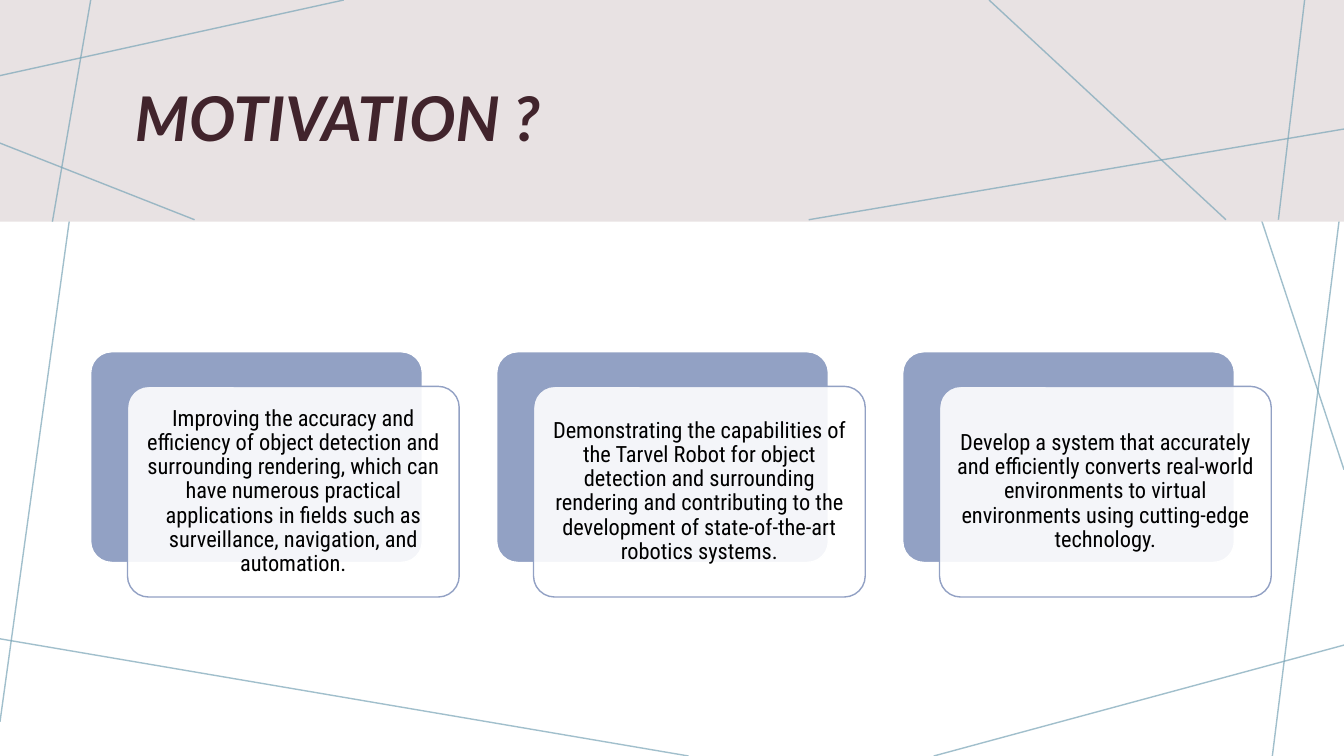
import pptx
import pptx.util
import pptx.dml.color
import pptx.enum.shapes
import pptx.enum.text
import pptx.oxml.ns
from lxml import etree

WIDTH = pptx.util.Inches(13.33)
HEIGHT = pptx.util.Inches(7.5)
SHAPE = pptx.enum.shapes.MSO_SHAPE
ALIGN = pptx.enum.text.PP_ALIGN

WHITE = pptx.dml.color.RGBColor(0xFF, 0xFF, 0xFF)
BLACK = pptx.dml.color.RGBColor(0x00, 0x00, 0x00)
BAND = pptx.dml.color.RGBColor(0xE8, 0xE2, 0xE3)
TITLE = pptx.dml.color.RGBColor(0x41, 0x24, 0x2C)
TEAL = pptx.dml.color.RGBColor(0x7A, 0xA5, 0xB7)
PERIWINKLE = pptx.dml.color.RGBColor(0x92, 0xA1, 0xC4)

BODY_LINES = [
    (7.43, 0, 0, 95.47),
    (51.24, 100, 0, 84.5),
    (100, 85.33, 69.47, 100),
    (100, 24, 94.67, 100),
    (100, 62.13, 88.45, 0),
]
BAND_LINES = [
    (25.58, 0, 0, 10),
    (6.75, 0, 3.9, 29.33),
    (14.48, 29.07, 0, 18.93),
    (100, 17.07, 60.17, 29.07),
    (91.22, 29.07, 73.59, 0),
    (97.07, 0, 95.12, 29.07),
]
REASONS = [
    "Improving the accuracy and efficiency of object detection and surrounding "
    "rendering, which can have numerous practical applications in fields such as "
    "surveillance, navigation, and automation.",
    "Demonstrating the capabilities of the Tarvel Robot for object detection and "
    "surrounding rendering and contributing to the development of state-of-the-art "
    "robotics systems.",
    "Develop a system that accurately and efficiently converts real-world "
    "environments to virtual environments using cutting-edge technology.",
]
CARD_LEFT, CARD_TOP, CARD_W, CARD_H = 6.75, 46.53, 24.68, 27.87
CARD_PITCH, SHIFT_X, SHIFT_Y = 30.21, 2.74, 4.57


def col(share):
    return round(WIDTH * share / 100)


def row(share):
    return round(HEIGHT * share / 100)


def set_opacity(fill_parent, percent):
    color = fill_parent.find(".//" + pptx.oxml.ns.qn("a:srgbClr"))
    alpha = etree.SubElement(color, pptx.oxml.ns.qn("a:alpha"))
    alpha.set("val", str(percent * 1000))


def add_lines(s, lines):
    for x1, y1, x2, y2 in lines:
        line = s.shapes.add_connector(
            pptx.enum.shapes.MSO_CONNECTOR.STRAIGHT, col(x1), row(y1), col(x2), row(y2))
        line.line.color.rgb = TEAL
        line.line.width = pptx.util.Pt(1)
        sp_pr = line._element.spPr
        set_opacity(sp_pr, 70)
        etree.SubElement(sp_pr, pptx.oxml.ns.qn("a:effectLst"))


def add_block(s, kind, x, y, w, h, fill, outline=None):
    sp = s.shapes.add_shape(kind, col(x), row(y), col(w), row(h))
    sp.shadow.inherit = False
    sp.fill.solid()
    sp.fill.fore_color.rgb = fill
    if outline is None:
        sp.line.fill.background()
    else:
        sp.line.color.rgb = outline
        sp.line.width = pptx.util.Pt(1)
    return sp


def write(sp, text, font, size, color, align):
    tf = sp.text_frame
    tf.word_wrap = True
    tf.vertical_anchor = pptx.enum.text.MSO_ANCHOR.MIDDLE
    p = tf.paragraphs[0]
    p.alignment = align
    p.line_spacing = 0.9
    r = p.add_run()
    r.text = text
    r.font.name = font
    r.font.size = pptx.util.Pt(size)
    r.font.color.rgb = color
    return p


def add_title(s, text):
    sp = s.shapes.add_textbox(col(9.3), row(7.2), col(82.6), row(17.87))
    p = write(sp, text, "Lato", 44, TITLE, ALIGN.LEFT)
    p.space_after = pptx.util.Pt(6)
    p.runs[0].font.bold = True
    p.runs[0].font.italic = True


def add_card(s, index, text):
    x = CARD_LEFT + index * CARD_PITCH
    back = add_block(s, SHAPE.ROUNDED_RECTANGLE, x, CARD_TOP, CARD_W, CARD_H,
                     PERIWINKLE, WHITE)
    front = add_block(s, SHAPE.ROUNDED_RECTANGLE, x + SHIFT_X, CARD_TOP + SHIFT_Y,
                      CARD_W, CARD_H, WHITE, PERIWINKLE)
    for sp in (back, front):
        sp.adjustments[0] = 0.1
    set_opacity(front._element.spPr.find(pptx.oxml.ns.qn("a:solidFill")), 90)
    tf = front.text_frame
    tf.margin_left = tf.margin_right = tf.margin_top = tf.margin_bottom = col(0.5)
    write(front, text, "Roboto Condensed", 16, BLACK, ALIGN.CENTER)


def main():
    prs = pptx.Presentation()
    prs.slide_width = WIDTH
    prs.slide_height = HEIGHT
    s = prs.slides.add_slide(prs.slide_layouts[6])
    add_lines(s, BODY_LINES)
    add_block(s, SHAPE.RECTANGLE, 0, 0, 100, 29.33, BAND)
    add_lines(s, BAND_LINES)
    add_title(s, "MOTIVATION ?")
    for index, text in enumerate(REASONS):
        add_card(s, index, text)
    prs.save("out.pptx")


if __name__ == "__main__":
    main()
